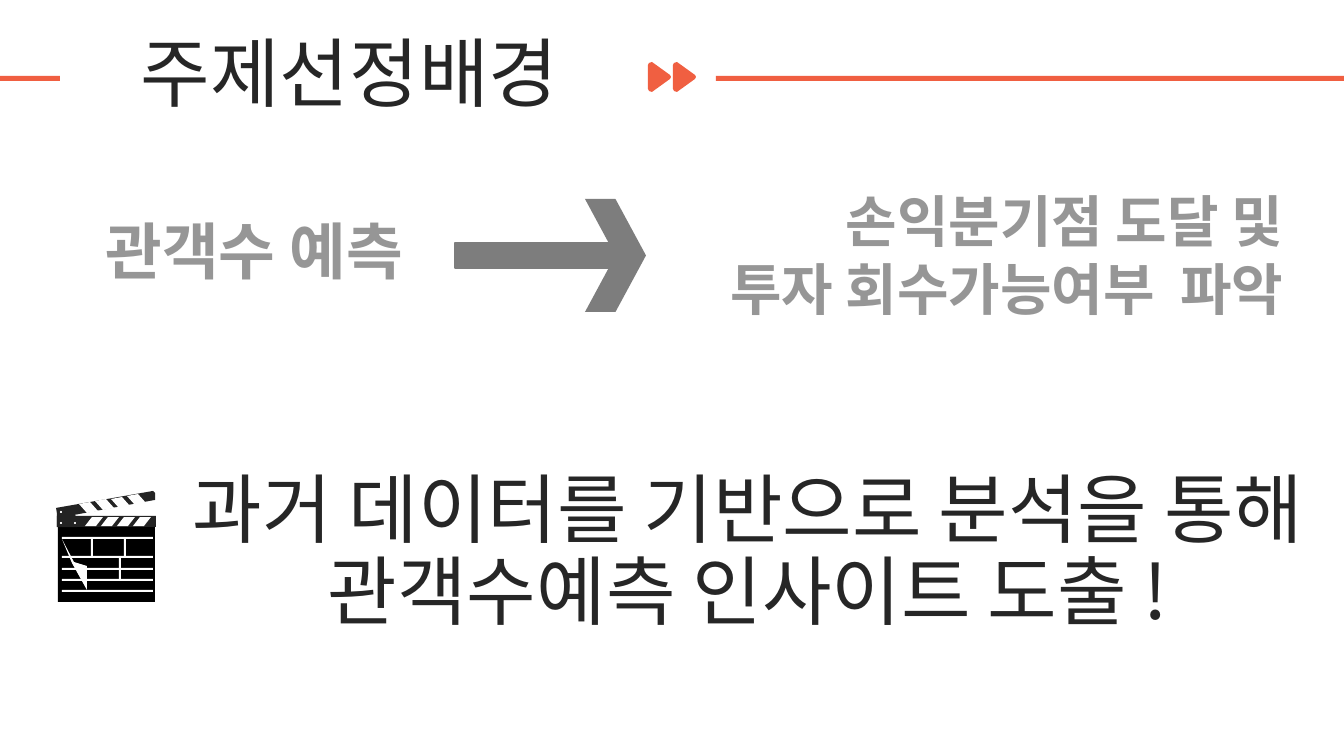
from dataclasses import dataclass

from lxml.etree import SubElement
from pptx import Presentation
from pptx.dml.color import RGBColor
from pptx.enum.shapes import MSO_SHAPE as Preset
from pptx.enum.text import MSO_ANCHOR as Anchor, MSO_AUTO_SIZE as AutoSize, PP_ALIGN as Align
from pptx.oxml.ns import qn
from pptx.util import Pt

PX = 914400 / 100.8
KOREAN_FONT = "Noto Sans CJK KR"

CORAL = RGBColor(0xF0, 0x5F, 0x41)
INK = RGBColor(0x26, 0x26, 0x26)
GREY = RGBColor(0x96, 0x96, 0x96)
ARROW_GREY = RGBColor(0x7D, 0x7D, 0x7D)
BLACK = RGBColor(0x00, 0x00, 0x00)
STICK = RGBColor(0x23, 0x23, 0x23)
WHITE = RGBColor(0xFE, 0xFE, 0xFE)

Point = tuple[int, int]


@dataclass(frozen=True)
class Box:
    left: int
    top: int
    width: int
    height: int

    def emu(self) -> list[int]:
        return [round(v * PX) for v in (self.left, self.top, self.width, self.height)]


@dataclass(frozen=True)
class TextStyle:
    font: str
    size: int
    color: RGBColor
    align: Align
    bold: bool = False
    line_spacing: float | None = None
    space_before: int = 0


HEADLINE = TextStyle(KOREAN_FONT, 54, INK, Align.CENTER, line_spacing=0.9, space_before=10)


def paint(shape, color: RGBColor) -> None:
    shape.shadow.inherit = False
    shape.fill.solid()
    shape.fill.fore_color.rgb = color
    shape.line.fill.background()


def draw_preset(shapes, preset: Preset, box: Box, color: RGBColor):
    shape = shapes.add_shape(preset, *box.emu())
    paint(shape, color)
    return shape


def draw_polygon(shapes, points: list[Point], color: RGBColor, dx: int = 0, dy: int = 0) -> None:
    moved = [(x + dx, y + dy) for x, y in points]
    builder = shapes.build_freeform(*moved[0], scale=PX)
    builder.add_line_segments(moved[1:], close=True)
    paint(builder.convert_to_shape(), color)


def write(shape, text: str, style: TextStyle, auto_size: AutoSize, anchor: Anchor) -> None:
    frame = shape.text_frame
    frame.text = text
    frame.word_wrap = True
    frame.auto_size = auto_size
    frame.vertical_anchor = anchor
    for paragraph in frame.paragraphs:
        paragraph.alignment = style.align
        paragraph.line_spacing = style.line_spacing
        paragraph.space_before = Pt(style.space_before)
        for run in paragraph.runs:
            run.font.name = style.font
            run.font.size = Pt(style.size)
            run.font.bold = style.bold
            run.font.color.rgb = style.color
            SubElement(run._r.get_or_add_rPr(), qn("a:ea"), typeface=KOREAN_FONT)


def draw_header(slide) -> None:
    triangle = [(648, 65), (649, 63), (652, 62), (670, 75), (671, 77),
                (670, 79), (652, 92), (649, 91), (648, 89)]
    for dx in (25, 0):
        draw_polygon(slide.shapes, triangle, CORAL, dx)
    for left, width in ((716, 628), (0, 60)):
        draw_preset(slide.shapes, Preset.RECTANGLE, Box(left, 76, width, 5), CORAL)
    title = slide.shapes.title
    title.left, title.top, title.width, title.height = Box(96, 37, 507, 80).emu()
    write(title, "주제선정배경", HEADLINE, AutoSize.NONE, Anchor.MIDDLE)


def draw_clapperboard(slide) -> None:
    shapes = slide.shapes.add_group_shape().shapes
    # Board, hinge and the two sticks
    draw_preset(shapes, Preset.RECTANGLE, Box(58, 527, 97, 75), BLACK)
    draw_polygon(shapes, [(57, 508), (68, 508), (75, 515), (80, 521), (77, 527), (57, 527)], STICK)
    draw_preset(shapes, Preset.RECTANGLE, Box(57, 516, 99, 11), STICK)
    draw_polygon(shapes, [(56, 508), (153, 491), (155, 493), (155, 500), (58, 518)], STICK)
    # Stripes
    for i in range(4):
        draw_polygon(shapes, [(92, 517), (103, 517), (96, 526), (85, 526)], WHITE, 16 * i)
        draw_polygon(shapes, [(79, 504), (90, 502), (98, 511), (87, 513)], WHITE, 16 * i, -5 * i // 2)
    # Screws
    for left, top in ((60, 511), (60, 522), (74, 522)):
        draw_preset(shapes, Preset.OVAL, Box(left, top, 2, 2), WHITE)
    # Ruled fields
    for top in (537, 556, 568, 579, 590):
        draw_preset(shapes, Preset.RECTANGLE, Box(62, top, 91, 2), WHITE)
    for left, top, height in ((91, 538, 19), (124, 538, 19), (119, 557, 23)):
        draw_preset(shapes, Preset.RECTANGLE, Box(left, top, 2, height), WHITE)
    # Glare
    draw_polygon(shapes, [(62, 539), (74, 562), (87, 566), (87, 590), (72, 563)], WHITE)


def draw_arrow(slide) -> None:
    shapes = slide.shapes.add_group_shape().shapes
    draw_preset(shapes, Preset.CHEVRON, Box(585, 199, 61, 113), ARROW_GREY)
    shaft = draw_preset(shapes, Preset.RECTANGLE, Box(455, 243, 165, 25), ARROW_GREY)
    shaft.line.color.rgb = ARROW_GREY
    shaft.line.width = Pt(1)


def draw_statements(slide) -> None:
    statements = [
        (Box(-88, 208, 501, 88), "관객수 예측", 44),
        (Box(603, 182, 690, 146), "손익분기점 도달 및\n투자 회수가능여부  파악", 40),
    ]
    for box, text, size in statements:
        style = TextStyle("Arial", size, GREY, Align.RIGHT, bold=True)
        write(slide.shapes.add_textbox(*box.emu()), text, style, AutoSize.SHAPE_TO_FIT_TEXT, Anchor.TOP)


def draw_conclusion(slide) -> None:
    box = slide.shapes.add_textbox(*Box(162, 514, 1172, 80).emu())
    write(box, "과거 데이터를 기반으로 분석을 통해 관객수예측 인사이트 도출 !",
          HEADLINE, AutoSize.NONE, Anchor.MIDDLE)


def main() -> None:
    presentation = Presentation()
    presentation.slide_width, presentation.slide_height = round(1344 * PX), round(756 * PX)
    slide = presentation.slides.add_slide(presentation.slide_layouts[5])
    draw_header(slide)
    draw_clapperboard(slide)
    draw_statements(slide)
    draw_arrow(slide)
    draw_conclusion(slide)
    presentation.save("out.pptx")


if __name__ == "__main__":
    main()
